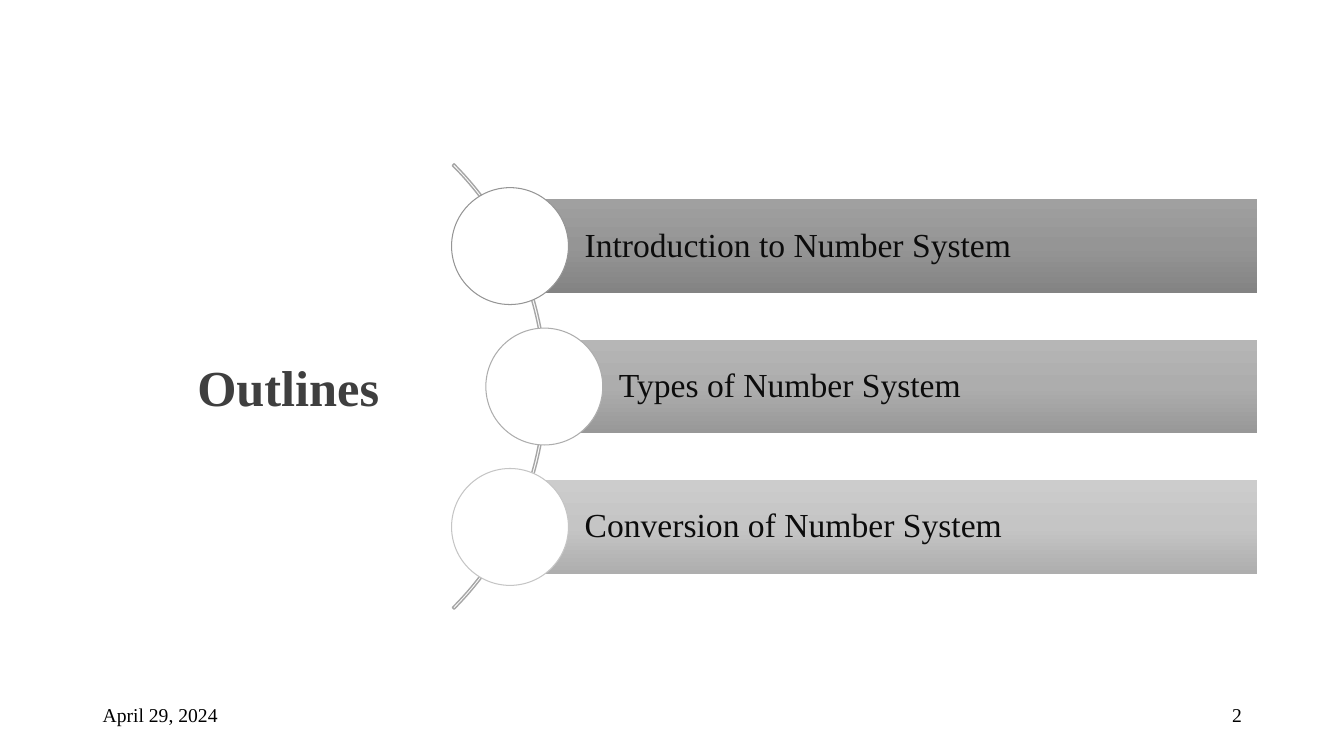
from copy import deepcopy

from pptx import Presentation
from pptx.dml.color import RGBColor
from pptx.enum.shapes import MSO_SHAPE
from pptx.enum.text import MSO_ANCHOR, PP_ALIGN
from pptx.oxml.ns import qn
from pptx.util import Inches, Pt

COLS, ROWS = 133.33, 75
FONT = "Times New Roman"
RIGHT, MID, PITCH = 124.7, 38.35, 13.93
BAR, DISC, ARC = 9.3, 11.6, 62.5
TOPICS = [
    ("Introduction to Number System", 50.6, ("A0A0A0", "959595", "838383")),
    ("Types of Number System", 54, ("B6B6B6", "ADADAD", "989898")),
    ("Conversion of Number System", 50.6, ("CCCCCC", "C5C5C5", "AEAEAE")),
]


def cell(count):
    """Turn a count of grid cells into a length."""
    return Inches(count / 10)


def tint(code):
    """Turn a hex string into a colour."""
    return RGBColor.from_string(code)


def write(shape, words, size, color, align=PP_ALIGN.LEFT, bold=False,
          pads=(1, 0.5, 1, 0.5), lines=1.0):
    """Write one run of text into a shape."""
    frame = shape.text_frame
    frame.word_wrap = True
    frame.vertical_anchor = MSO_ANCHOR.MIDDLE
    (frame.margin_left, frame.margin_top,
     frame.margin_right, frame.margin_bottom) = map(cell, pads)
    para = frame.paragraphs[0]
    para.alignment = align
    para.line_spacing = lines
    run = para.add_run()
    run.text = words
    run.font.name = FONT
    run.font.size = Pt(size)
    run.font.bold = bold
    run.font.color.rgb = tint(color)


def label(slide, box, words, size, color, align, bold=False):
    """Add a text box."""
    text = slide.shapes.add_textbox(*map(cell, box))
    write(text, words, size, color, align, bold)


def shade(shape, colors):
    """Fill a shape with an even gradient from top to bottom."""
    shape.fill.gradient()
    shape.fill.gradient_angle = 270
    stops = shape.element.spPr.find(qn("a:gradFill")).find(qn("a:gsLst"))
    stops.append(deepcopy(stops[-1]))
    for index, (stop, color) in enumerate(zip(shape.fill.gradient_stops, colors)):
        stop.position = index / (len(colors) - 1)
        stop.color.rgb = tint(color)


def form(slide, kind, box):
    """Add a preset shape with no shadow."""
    shape = slide.shapes.add_shape(kind, *map(cell, box))
    shape.shadow.inherit = False
    return shape


def edge(shape, color, width):
    """Outline a shape."""
    shape.line.color.rgb = tint(color)
    shape.line.width = Pt(width)


def curve(slide):
    """Add the thin arc that links the discs."""
    arc = form(slide, MSO_SHAPE.BLOCK_ARC, (-8.3, MID - ARC / 2, ARC, ARC))
    for index, value in enumerate((189, 27, 0.004)):
        arc.adjustments[index] = value
    arc.fill.background()
    edge(arc, "A6A6A6", 1)


def topic(slide, row, words, left, colors):
    """Add one bar and the disc on its left end."""
    mid = MID + (row - 1) * PITCH
    bar = form(slide, MSO_SHAPE.RECTANGLE, (left, mid - BAR / 2, RIGHT - left, BAR))
    shade(bar, colors)
    bar.line.fill.background()
    write(bar, words, 24, "0C0C0C", pads=(7.4, 0.7, 0.7, 0.7), lines=0.9)
    disc = form(slide, MSO_SHAPE.OVAL, (left - DISC / 2, mid - DISC / 2, DISC, DISC))
    disc.fill.solid()
    disc.fill.fore_color.rgb = tint("FFFFFF")
    edge(disc, colors[1], 0.75)


def main():
    """Build the outline slide."""
    deck = Presentation()
    deck.slide_width, deck.slide_height = cell(COLS), cell(ROWS)
    slide = deck.slides.add_slide(deck.slide_layouts[6])
    label(slide, (9.2, 68.9, 30, 4), "April 29, 2024", 14, "000000", PP_ALIGN.LEFT)
    label(slide, (94.2, 68.9, 30, 4), "2", 14, "000000", PP_ALIGN.RIGHT)
    curve(slide)
    for row, (words, left, colors) in enumerate(TOPICS):
        topic(slide, row, words, left, colors)
    label(slide, (16.5, 34.8, 24.2, 7.1), "Outlines", 36, "3F3F3F",
          PP_ALIGN.CENTER, True)
    deck.save("out.pptx")


if __name__ == "__main__":
    main()
